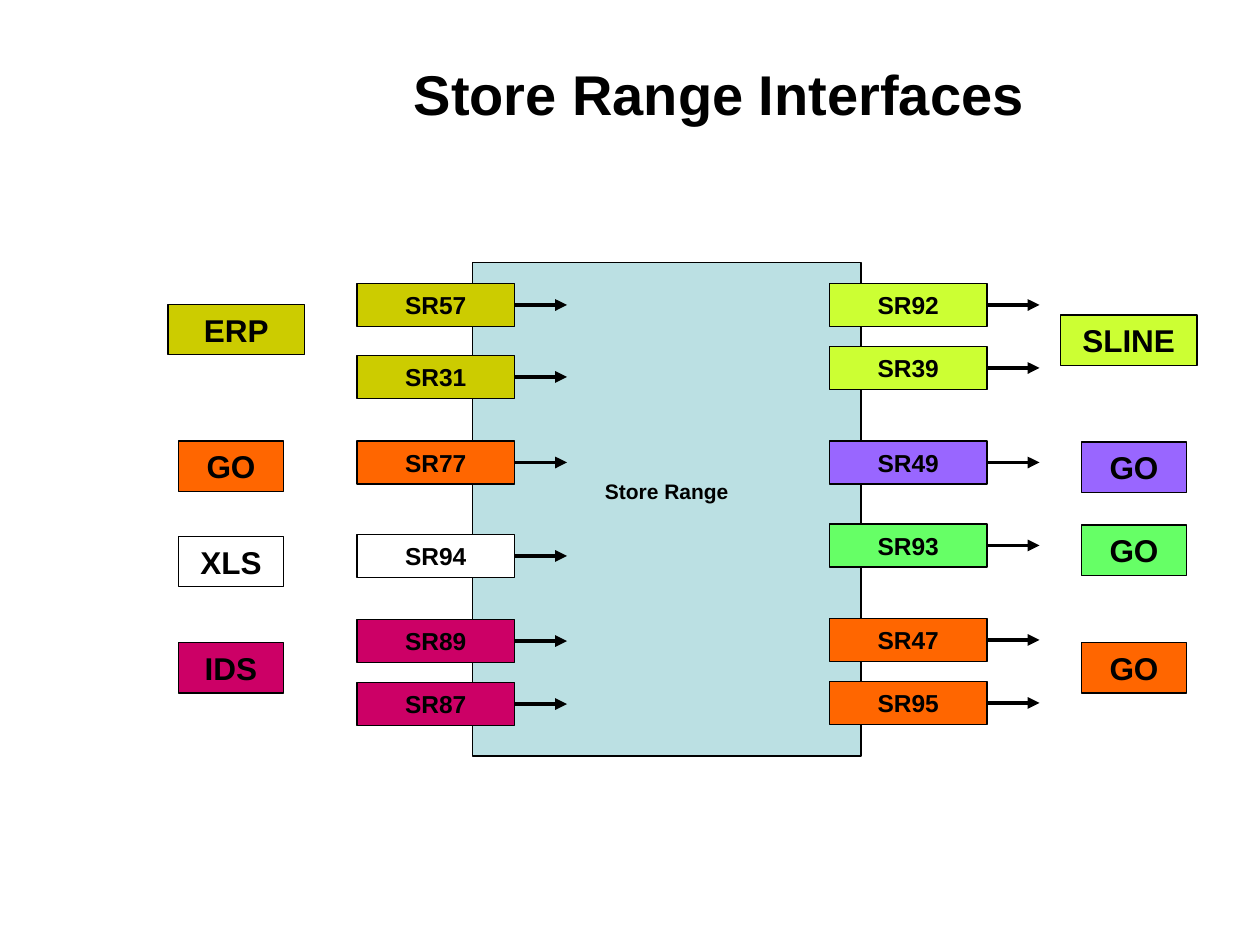
from pptx import Presentation
from pptx.dml.color import RGBColor
from pptx.enum.shapes import MSO_CONNECTOR as CONN, MSO_SHAPE as SHAPE
from pptx.enum.text import MSO_ANCHOR as ANCHOR, PP_ALIGN as ALIGN
from pptx.oxml.ns import qn
from pptx.util import Inches, Pt
from lxml.etree import SubElement

COLORS = {
    "ink": "000000", "core": "BBE0E3", "olive": "CCCC00", "lime": "CCFF33",
    "orange": "FF6600", "white": "FFFFFF", "magenta": "CC0066",
    "violet": "9966FF", "green": "66FF66",
}
FONT = "Arial"
COLS, ROWS = 120, 90
WIDTH, HEIGHT = Inches(10), Inches(7.5)
FEED_W, FEED_H, SYSTEM_H = 15, 4.1, 4.8
ARROW_INSET, ARROW_W = 4, 16

INPUTS = (34, [
    ("SR57", 27, "olive"), ("SR31", 33.85, "olive"), ("SR77", 42, "orange"),
    ("SR94", 50.9, "white"), ("SR89", 59, "magenta"), ("SR87", 65, "magenta"),
])
OUTPUTS = (79, [
    ("SR92", 27, "lime"), ("SR39", 33, "lime"), ("SR49", 42, "violet"),
    ("SR93", 49.9, "green"), ("SR47", 58.9, "orange"), ("SR95", 64.9, "orange"),
])
SYSTEMS = [
    ("GO", 103, 61.2, 10, "orange"), ("SLINE", 101, 30, 13, "lime"),
    ("IDS", 17, 61.2, 10, "magenta"), ("GO", 17, 42, 10, "orange"),
    ("XLS", 17, 51.1, 10, "white"), ("ERP", 16, 29, 13, "olive"),
    ("GO", 103, 50, 10, "green"), ("GO", 103, 42.1, 10, "violet"),
]


def x(col):
    return round(WIDTH * col / COLS)


def y(row):
    return round(HEIGHT * row / ROWS)


def rgb(name):
    return RGBColor.from_string(COLORS[name])


def write(shape, text, size):
    tf = shape.text_frame
    tf.word_wrap = True
    tf.vertical_anchor = ANCHOR.MIDDLE
    p = tf.paragraphs[0]
    p.text = text
    p.alignment = ALIGN.CENTER
    p.font.name = FONT
    p.font.size = Pt(size)
    p.font.bold = True
    p.font.color.rgb = rgb("ink")


def add_box(s, col, row, w, h, color):
    box = s.shapes.add_shape(SHAPE.RECTANGLE, x(col), y(row), x(w), y(h))
    box.shadow.inherit = False
    box.fill.solid()
    box.fill.fore_color.rgb = rgb(color)
    box.line.color.rgb = rgb("ink")
    box.line.width = Pt(0.75)
    return box


def add_label(s, col, row, w, h, text, size):
    write(s.shapes.add_textbox(x(col), y(row), x(w), y(h)), text, size)


def add_arrow(s, col, row, w):
    arrow = s.shapes.add_connector(CONN.STRAIGHT, x(col), y(row), x(col + w), y(row))
    arrow.line.color.rgb = rgb("ink")
    arrow.line.width = Pt(2.25)
    sp = arrow._element.spPr
    SubElement(sp.find(qn("a:ln")), qn("a:tailEnd"), type="triangle")
    SubElement(sp, qn("a:effectLst"))


def add_feeds(s, col, feeds):
    for text, row, color in feeds:
        add_arrow(s, col + ARROW_INSET, row + FEED_H / 2, ARROW_W)
        write(add_box(s, col, row, FEED_W, FEED_H, color), text, 14)


def add_systems(s):
    for text, col, row, w, color in SYSTEMS:
        write(add_box(s, col, row, w, SYSTEM_H, color), text, 18)


def main():
    prs = Presentation()
    prs.slide_width, prs.slide_height = WIDTH, HEIGHT
    s = prs.slides.add_slide(prs.slide_layouts[6])
    add_box(s, 45, 25, 37, 47, "core")
    add_label(s, 56, 45, 15, 3.6, "Store Range", 12)
    add_feeds(s, *INPUTS)
    add_feeds(s, *OUTPUTS)
    add_systems(s)
    add_label(s, 36, 5, 65, 7.7, "Store Range Interfaces", 32)
    prs.save("out.pptx")


if __name__ == "__main__":
    main()
